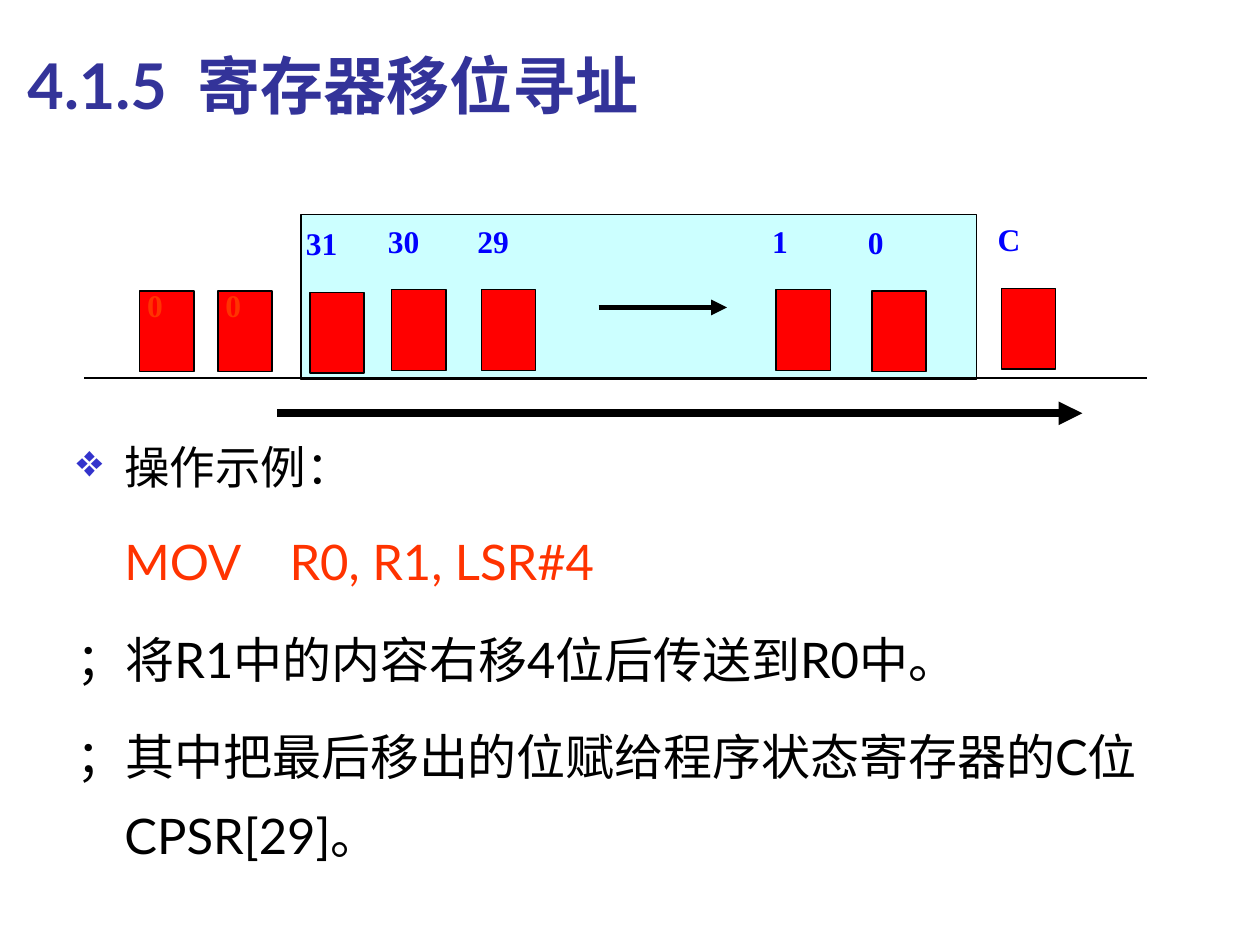
from typing import NamedTuple

from lxml import etree
from pptx import Presentation
from pptx.dml.color import RGBColor
from pptx.enum import shapes, text
from pptx.oxml import ns
from pptx.util import Inches, Pt

BLACK, RED, BLUE, ORANGE = "000000", "FF0000", "0000FF", "FF3300"
CELL_WIDTH, CELL_HEIGHT = 0.43, 0.64


class BitCell(NamedTuple):
    left: float
    top: float
    label: str
    filled_in: bool = False  # a zero shifted in, written on the cell itself


class Line(NamedTuple):
    content: str
    size: float
    color: str
    before: float
    after: float
    indent: float = -0.38
    bullet: str = ""


BITS = [
    BitCell(2.46, 2.32, "31"),
    BitCell(7.95, 2.29, "C"),
    BitCell(3.11, 2.30, "30"),
    BitCell(3.82, 2.30, "29"),
    BitCell(6.16, 2.30, "1"),
    BitCell(6.92, 2.31, "0"),
    BitCell(1.73, 2.31, "0", True),
    BitCell(1.11, 2.31, "0", True),
]

EXAMPLE = [
    Line("操作示例：", 26, BLACK, 0, 3.3, bullet="❖"),
    Line("MOV    R0, R1, LSR#4", 28, ORANGE, 7, 3.5, indent=0),
    Line("；将R1中的内容右移4位后传送到R0中。", 28, BLACK, 7, 3.5),
    Line("；其中把最后移出的位赋给程序状态寄存器的C位CPSR[29]。", 28, BLACK, 6.5, 3.3),
]


def rgb(color: str) -> RGBColor:
    return RGBColor.from_string(color)


def set_font(paragraph, name: str, size: float, color: str, bold: bool = False) -> None:
    font = paragraph.font
    font.name, font.size, font.bold = name, Pt(size), bold
    font.color.rgb = rgb(color)


def add_frame(parent, left: float, top: float, width: float, height: float):
    """Add a wrapping text box and return its text frame."""
    frame = parent.add_textbox(
        Inches(left), Inches(top), Inches(width), Inches(height)
    ).text_frame
    frame.word_wrap = True
    return frame


def add_box(parent, left: float, top: float, width: float, height: float, fill: str) -> None:
    box = parent.add_shape(
        shapes.MSO_SHAPE.RECTANGLE,
        Inches(left), Inches(top), Inches(width), Inches(height),
    )
    box.shadow.inherit = False
    box.fill.solid()
    box.fill.fore_color.rgb = rgb(fill)
    box.line.color.rgb = rgb(BLACK)
    box.line.width = Pt(0.75)


def add_rule(parent, start: float, end: float, y: float, weight: float, arrow: bool = True) -> None:
    """Draw a horizontal line, with an arrowhead at its end if asked."""
    rule = parent.add_connector(
        shapes.MSO_CONNECTOR.STRAIGHT, Inches(start), Inches(y), Inches(end), Inches(y)
    )
    rule.line.color.rgb = rgb(BLACK)
    rule.line.width = Pt(weight)
    properties = rule._element.spPr
    if arrow:
        outline = properties.find(ns.qn("a:ln"))
        etree.SubElement(outline, ns.qn("a:tailEnd"), type="triangle")
    etree.SubElement(properties, ns.qn("a:effectLst"))


def add_bit(parent, bit: BitCell) -> None:
    add_box(parent, bit.left, bit.top, CELL_WIDTH, CELL_HEIGHT, RED)
    if bit.filled_in:
        frame = add_frame(parent, bit.left - 0.04, bit.top - 0.09, 0.43, 0.8)
    else:
        frame = add_frame(parent, bit.left - 0.13, bit.top - 0.59, 0.77, 0.83)
    label = frame.paragraphs[0]
    label.text = bit.label
    label.alignment = text.PP_ALIGN.JUSTIFY
    set_font(label, "Times New Roman", 18, ORANGE if bit.filled_in else BLUE, True)


def write_line(paragraph, line: Line) -> None:
    paragraph.text = line.content
    properties = paragraph._p.get_or_add_pPr()
    properties.set("marL", str(Inches(0.38)))
    properties.set("indent", str(Inches(line.indent)))
    if line.bullet:
        bullet_color = etree.SubElement(properties, ns.qn("a:buClr"))
        etree.SubElement(bullet_color, ns.qn("a:srgbClr"), val="3333CC")
        etree.SubElement(properties, ns.qn("a:buChar"), char=line.bullet)
    paragraph.line_spacing = 1.35
    paragraph.space_before = Pt(line.before)
    paragraph.space_after = Pt(line.after)
    set_font(paragraph, "Lato", line.size, line.color)


def main() -> None:
    deck = Presentation()
    deck.slide_width, deck.slide_height = Inches(10), Inches(7.5)
    slide = deck.slides.add_slide(deck.slide_layouts[6])

    example = add_frame(slide.shapes, 0.51, 3.28, 9, 3.8)
    for index, line in enumerate(EXAMPLE):
        write_line(example.add_paragraph() if index else example.paragraphs[0], line)

    heading = add_frame(slide.shapes, 0.12, 0.21, 7.83, 0.92)
    heading.vertical_anchor = text.MSO_ANCHOR.MIDDLE
    heading.paragraphs[0].text = "4.1.5  寄存器移位寻址"
    set_font(heading.paragraphs[0], "Lato", 36, "333399", True)

    diagram = slide.shapes.add_group_shape().shapes
    add_box(diagram, 2.39, 1.7, 5.36, 1.31, "CCFFFF")
    for bit in BITS:
        add_bit(diagram, bit)
    add_rule(diagram, 0.67, 9.1, 3, 0.75, arrow=False)
    add_rule(diagram, 4.75, 5.77, 2.44, 3)
    add_rule(diagram, 2.2, 8.59, 3.28, 4.5)

    deck.save("out.pptx")


if __name__ == "__main__":
    main()
